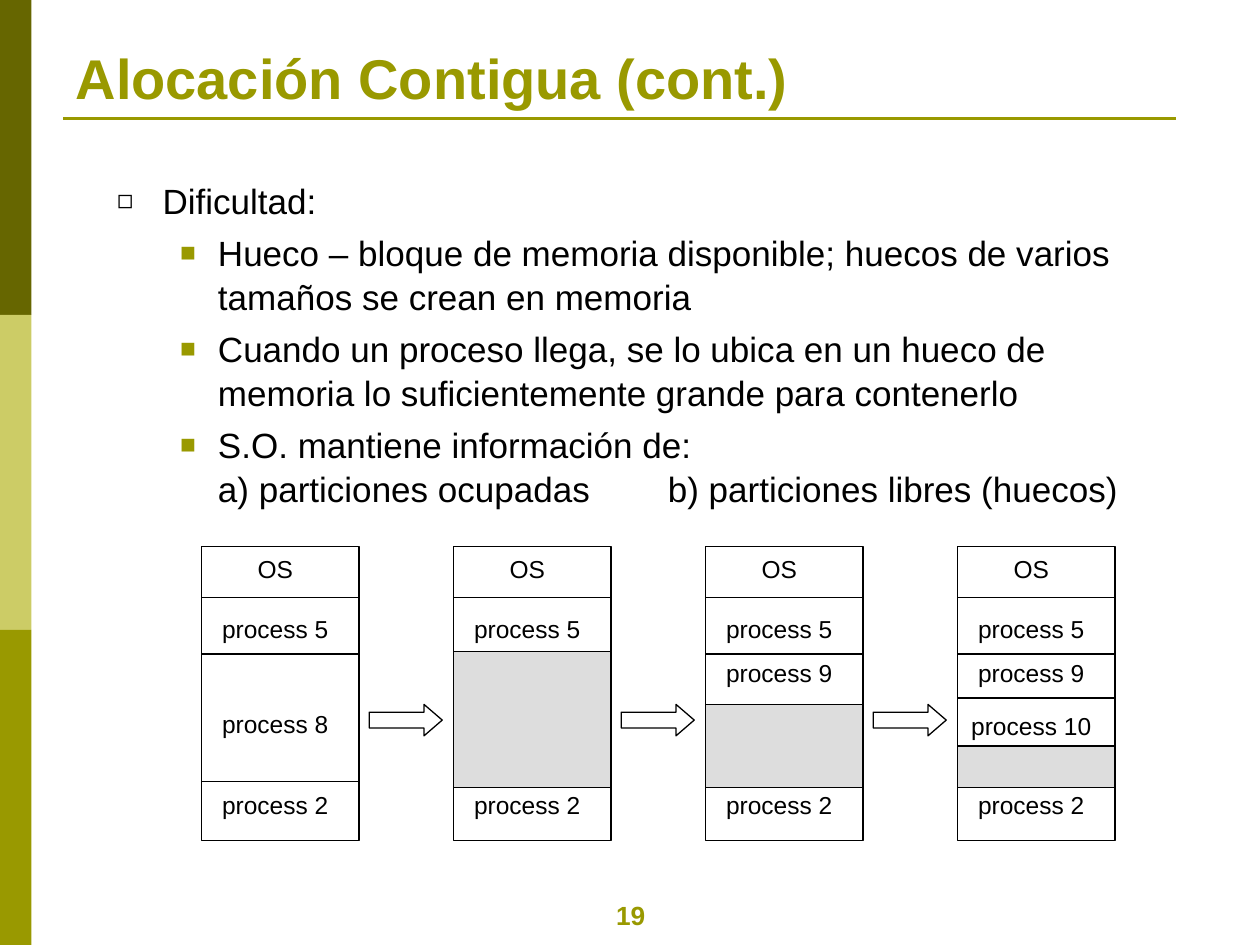
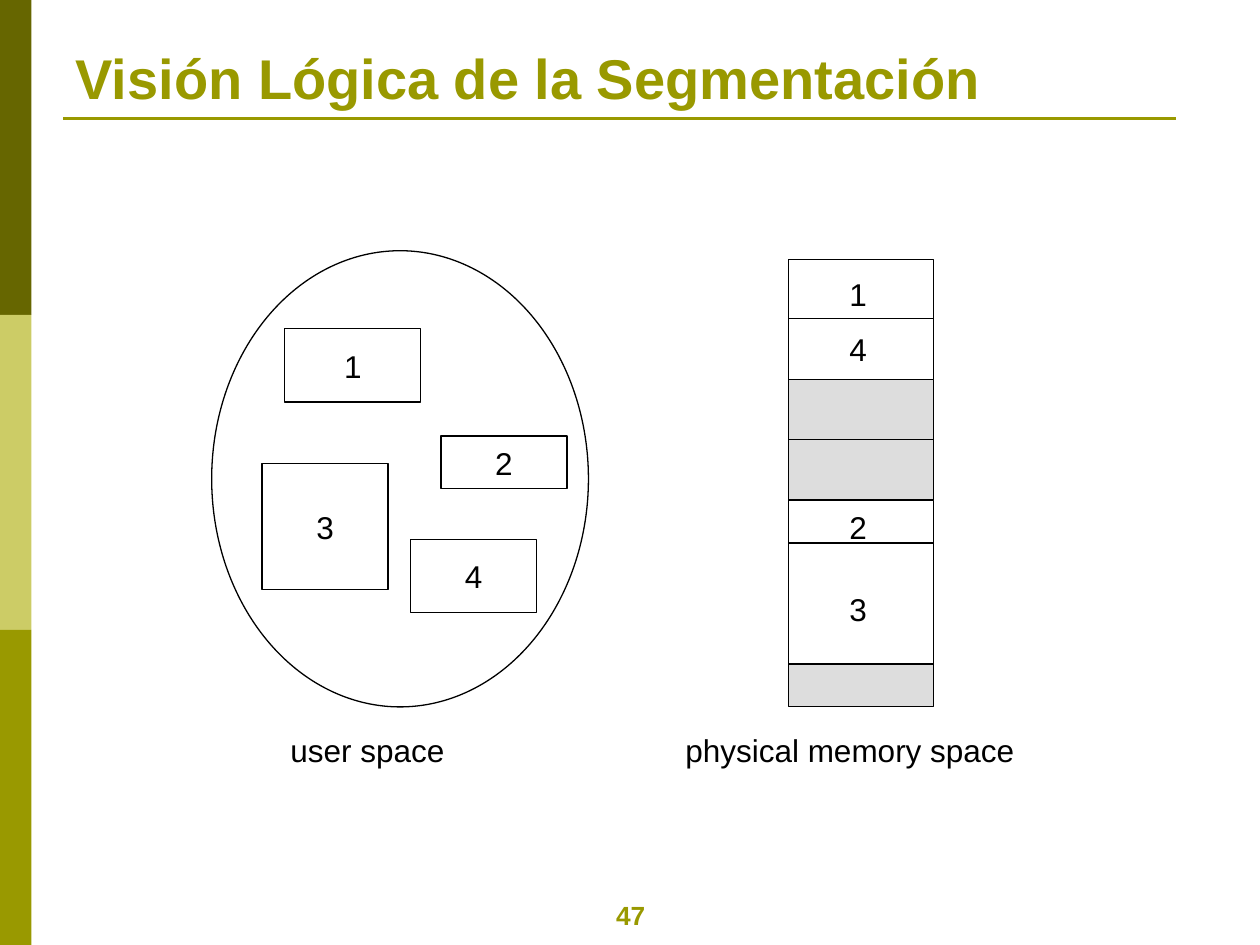
from lxml import etree
from pptx import Presentation
from pptx.dml import color
from pptx.enum import shapes, text
from pptx.oxml import ns
from pptx.util import Inches, Pt

FONT = "Arial"
BLACK, WHITE, GRAY = "000000", "FFFFFF", "DDDDDD"
OLIVE, DARK_OLIVE, LIGHT_OLIVE = "999900", "666600", "CCCC66"
BANDS = [DARK_OLIVE, LIGHT_OLIVE, OLIVE]

ALLOCATION_TITLE, ALLOCATION_NUMBER = "Alocación Contigua (cont.)", "19"
ALLOCATION_POINTS = [
    (0, ["Dificultad:"]),
    (1, ["Hueco – bloque de memoria disponible; huecos de varios tamaños se crean en memoria"]),
    (1, ["Cuando un proceso llega, se lo ubica en un hueco de memoria lo suficientemente "
         "grande para contenerlo"]),
    (1, ["S.O. mantiene información de:",
         "a) particiones ocupadas\tb) particiones libres (huecos)"]),
]
LEVELS = [
    {"indent": 0.36, "hang": 0.36, "bullet": "◻", "color": BLACK},
    {"indent": 0.8, "hang": 0.3, "bullet": "■", "color": OLIVE},
]
TAB_STOP = 4.37

FIXED_LABELS = [("OS", 4.34), ("process 5", 4.82), ("process 2", 6.22)]
MEMORY_STATES = [
    {"labels": [("process 8", 5.57)], "dividers": [4.74, 5.19, 6.2], "hole": None},
    {"labels": [], "dividers": [4.74], "hole": 5.17},
    {"labels": [("process 9", 5.17)], "dividers": [4.74, 5.19], "hole": 5.59},
    {"labels": [("process 9", 5.17), ("process 10", 5.59)],
     "dividers": [4.74, 5.19, 5.54], "hole": 5.92},
]
STATE_LEFT, STATE_STEP, STATE_TOP = 1.6, 2, 4.34
STATE_WIDTH, STATE_HEIGHT, HOLE_BOTTOM = 1.25, 2.33, 6.25

SEGMENTATION_TITLE, SEGMENTATION_NUMBER = "Visión Lógica de la Segmentación", "47"
USER_SPACE = (1.68, 1.99, 2.99, 3.62)
USER_SEGMENTS = [
    ("1", (2.26, 2.61, 1.08, 0.58)),
    ("3", (2.08, 3.68, 1, 1)),
    ("2", (3.5, 3.46, 1, 0.42)),
    ("4", (3.26, 4.28, 1, 0.58)),
]
MEMORY_LEFT, MEMORY_WIDTH = 6.26, 1.15
MEMORY_BLOCKS = [(2.06, 3.01, WHITE), (3.01, 3.97, GRAY), (3.97, 5.27, WHITE), (5.27, 5.61, GRAY)]
MEMORY_DIVIDERS = [2.53, 3.49, 4.31]
MEMORY_LABELS = [("1", 2.13), ("4", 2.57), ("2", 3.98), ("3", 4.63)]
CAPTIONS = [("user space", (2.17, 5.75, 1.49, 0.4)),
            ("physical memory space", (5.34, 5.75, 2.81, 0.4))]


def rgb(value):
    return color.RGBColor.from_string(value)


def inches(area):
    return [Inches(value) for value in area]


def write(para, words, size, ink=BLACK, bold=False):
    span = para.add_run()
    span.text = words
    span.font.name = FONT
    span.font.size = Pt(size)
    span.font.bold = bold
    span.font.color.rgb = rgb(ink)


def center(frame, words, size, ink=BLACK, bold=False):
    frame.word_wrap = False
    frame.vertical_anchor = text.MSO_ANCHOR.MIDDLE
    para = frame.paragraphs[0]
    para.alignment = text.PP_ALIGN.CENTER
    write(para, words, size, ink, bold)


def add_label(page, words, area, size, ink=BLACK, bold=False):
    center(page.shapes.add_textbox(*inches(area)).text_frame, words, size, ink, bold)


def add_box(page, area, fill=WHITE, kind=shapes.MSO_SHAPE.RECTANGLE, outline=BLACK):
    box = page.shapes.add_shape(kind, *inches(area))
    box.shadow.inherit = False
    box.fill.solid()
    box.fill.fore_color.rgb = rgb(fill)
    if outline:
        box.line.color.rgb = rgb(outline)
        box.line.width = Pt(0.75)
    else:
        box.line.fill.background()
    return box


def add_rule(page, left, top, width, ink=BLACK, weight=0.75):
    rule = page.shapes.add_connector(
        shapes.MSO_CONNECTOR.STRAIGHT, *inches((left, top, left + width, top)))
    rule.line.color.rgb = rgb(ink)
    rule.line.width = Pt(weight)
    etree.SubElement(rule._element.spPr, ns.qn("a:effectLst"))


def place(holder, area, anchor):
    holder.left, holder.top, holder.width, holder.height = inches(area)
    frame = holder.text_frame
    frame.auto_size = text.MSO_AUTO_SIZE.NONE
    frame.word_wrap = True
    frame.vertical_anchor = anchor
    return frame


def add_page(deck, layout, title, number):
    page = deck.slides.add_slide(deck.slide_layouts[layout])
    for index, fill in enumerate(BANDS):
        add_box(page, (0, 2.5 * index, 0.25, 2.5), fill, outline=None)
    add_rule(page, 0.5, 0.94, 8.83, OLIVE, 1.5)
    add_label(page, number, (4.4, 7.09, 1.21, 0.35), 15, OLIVE, True)
    frame = place(page.shapes.title, (0.5, 0.3, 9, 0.63), text.MSO_ANCHOR.BOTTOM)
    para = frame.paragraphs[0]
    para.alignment = text.PP_ALIGN.LEFT
    write(para, title, 32, OLIVE, True)
    return page


def format_point(para, level):
    style = LEVELS[level]
    para.level = level
    properties = para._p.get_or_add_pPr()
    properties.set("marL", str(Inches(style["indent"])))
    properties.set("indent", str(-Inches(style["hang"])))
    tint = etree.SubElement(properties, ns.qn("a:buClr"))
    etree.SubElement(tint, ns.qn("a:srgbClr"), val=style["color"])
    etree.SubElement(properties, ns.qn("a:buSzPct"), val="75000")
    etree.SubElement(properties, ns.qn("a:buFont"), typeface=FONT)
    etree.SubElement(properties, ns.qn("a:buChar"), char=style["bullet"])
    stops = etree.SubElement(properties, ns.qn("a:tabLst"))
    etree.SubElement(stops, ns.qn("a:tab"), pos=str(Inches(TAB_STOP)), algn="l")


def add_points(page, points):
    frame = place(page.placeholders[1], (0.83, 1.36, 8.73, 2.85), text.MSO_ANCHOR.TOP)
    for index, (level, lines) in enumerate(points):
        para = frame.add_paragraph() if index else frame.paragraphs[0]
        format_point(para, level)
        para.space_before = Pt(5 if index else 0)
        para.line_spacing = 1.04
        for line_index, line in enumerate(lines):
            if line_index:
                para.add_line_break()
            write(para, line, 20)


def add_memory_state(page, left, state):
    add_box(page, (left, STATE_TOP, STATE_WIDTH, STATE_HEIGHT))
    for top in state["dividers"]:
        add_rule(page, left, top, STATE_WIDTH)
    if state["hole"]:
        add_box(page, (left, state["hole"], STATE_WIDTH, HOLE_BOTTOM - state["hole"]), GRAY)
    for words, top in FIXED_LABELS + state["labels"]:
        add_label(page, words, (left, top, 1.17, 0.34), 14)


def build_allocation(deck):
    page = add_page(deck, 1, ALLOCATION_TITLE, ALLOCATION_NUMBER)
    add_points(page, ALLOCATION_POINTS)
    for index, state in enumerate(MEMORY_STATES):
        left = STATE_LEFT + STATE_STEP * index
        add_memory_state(page, left, state)
        if index:
            arrow = add_box(page, (left - 0.67, 5.59, 0.58, 0.25),
                            kind=shapes.MSO_SHAPE.RIGHT_ARROW)
            arrow.adjustments[0] = 0.5
            arrow.adjustments[1] = 0.58


def build_segmentation(deck):
    page = add_page(deck, 5, SEGMENTATION_TITLE, SEGMENTATION_NUMBER)
    add_box(page, USER_SPACE, kind=shapes.MSO_SHAPE.OVAL)
    for words, area in USER_SEGMENTS:
        center(add_box(page, area).text_frame, words, 18)
    for top, bottom, fill in MEMORY_BLOCKS:
        add_box(page, (MEMORY_LEFT, top, MEMORY_WIDTH, bottom - top), fill)
    for top in MEMORY_DIVIDERS:
        add_rule(page, MEMORY_LEFT, top, MEMORY_WIDTH)
    for words, top in MEMORY_LABELS:
        add_label(page, words, (6.64, top, 0.34, 0.4), 18)
    for words, area in CAPTIONS:
        add_label(page, words, area, 18)


def main():
    deck = Presentation()
    deck.slide_width, deck.slide_height = Inches(10), Inches(7.5)
    build_allocation(deck)
    build_segmentation(deck)
    deck.save("out.pptx")


if __name__ == "__main__":
    main()
